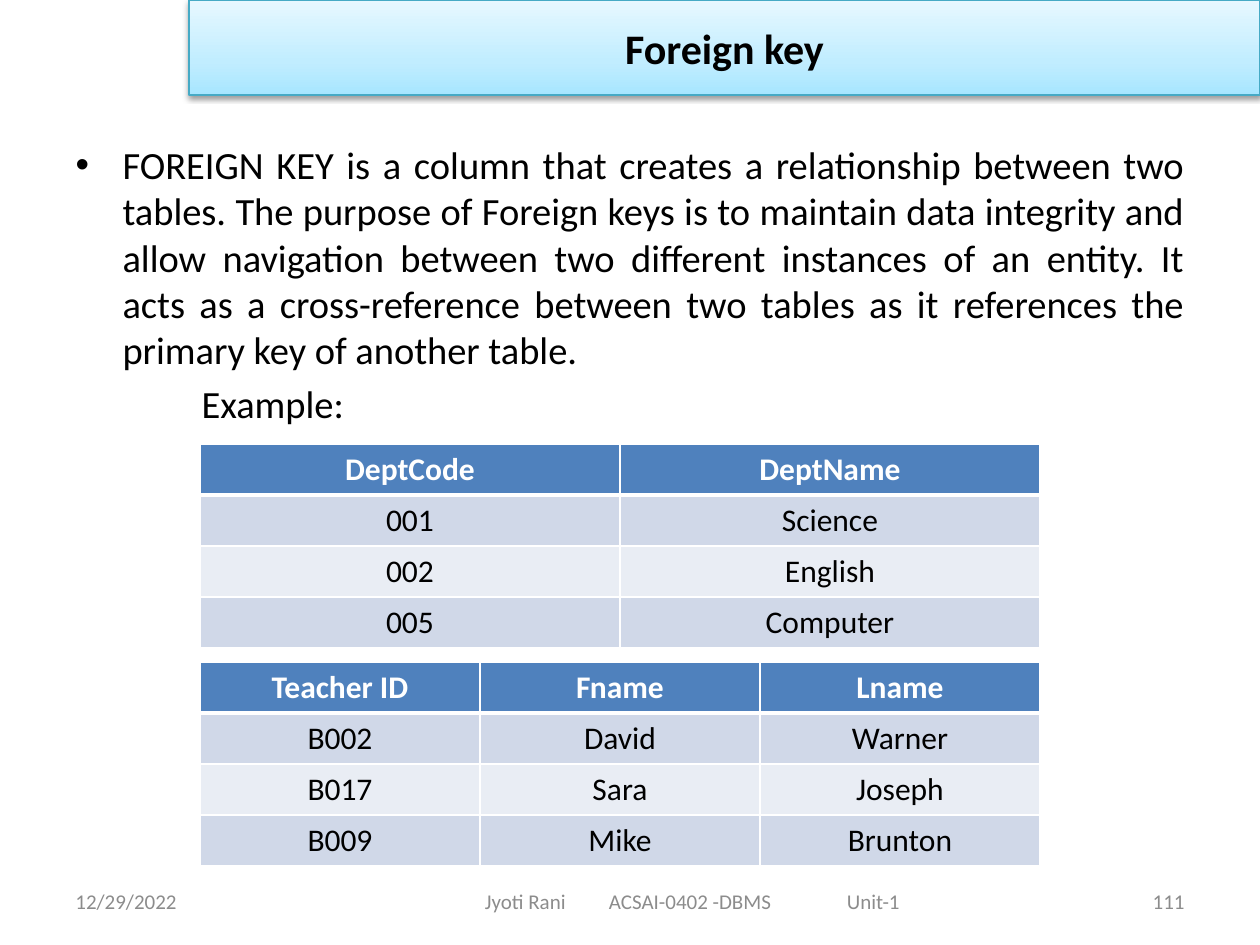
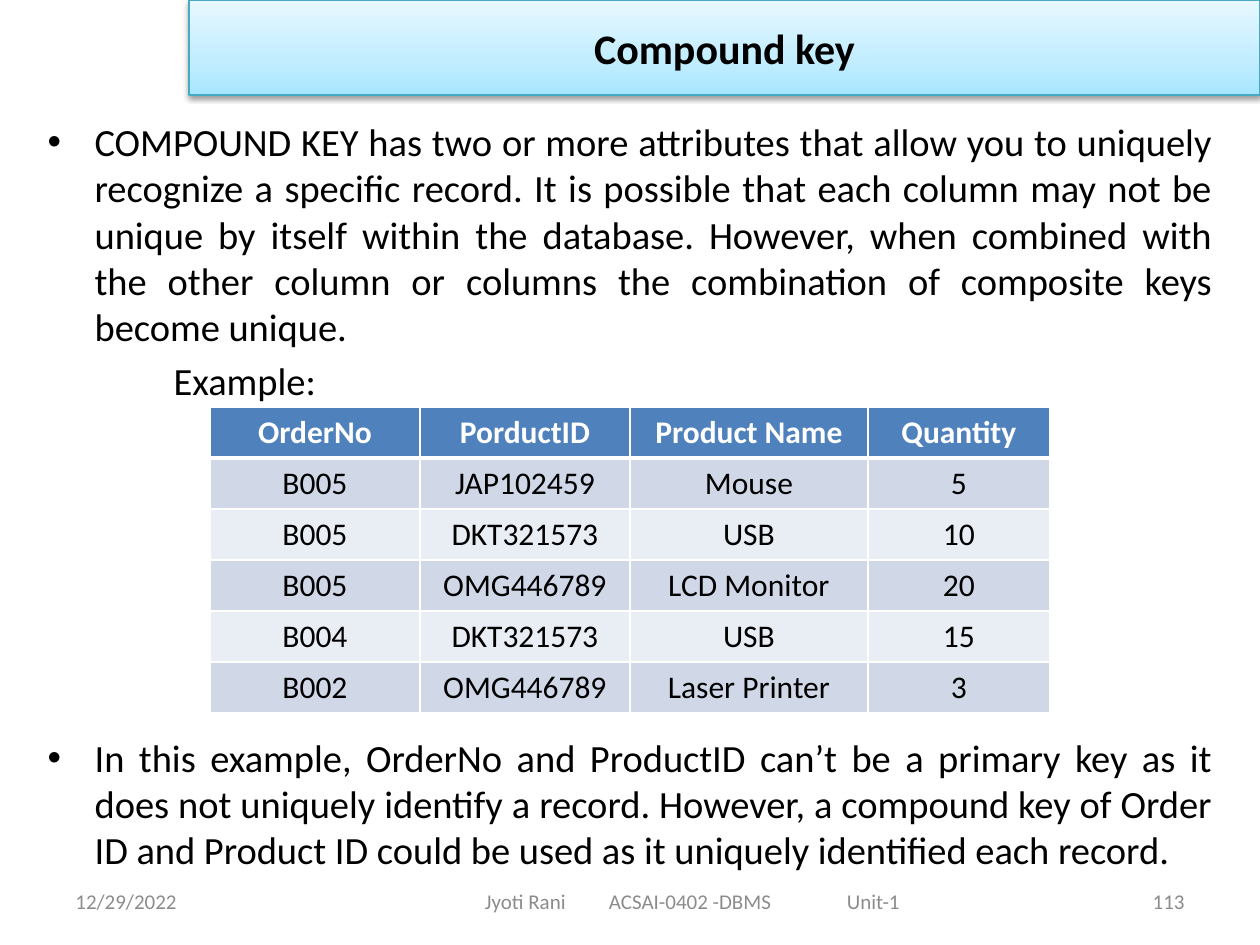
import copy
from dataclasses import dataclass

import pptx
import pptx.dml.color
import pptx.enum.text
import pptx.oxml
import pptx.oxml.ns
import pptx.util

ALIGN = pptx.enum.text.PP_ALIGN
MIDDLE = pptx.enum.text.MSO_ANCHOR.MIDDLE
NAMESPACE = pptx.oxml.ns.nsdecls("a")


@dataclass(frozen=True)
class Theme:
    """Colours, type sizes in points and the font shared by all slides."""
    font: str = "Calibri"
    ink: str = "000000"
    muted: str = "8C8C8C"
    white: str = "FFFFFF"
    header: str = "4F81BD"
    odd_row: str = "D0D8E8"
    even_row: str = "E9EDF4"
    band_line: str = "46AAC5"
    band_stops: tuple = ((0, "A7E6FF"), (0.35, "C1EDFF"), (1, "E7F8FF"))
    title_size: int = 24
    body_size: int = 22
    table_size: int = 18
    footer_size: int = 12
    body_gap: float = 4.4


THEME = Theme()


def px(length):
    """Turn pixels, 126 to the inch, into EMU."""
    return pptx.util.Emu(round(length * 914400 / 126))


def rgb(code):
    """Turn a hex code into a colour."""
    return pptx.dml.color.RGBColor.from_string(code)


def place(shape, left, top, width, height):
    """Move and size a shape in pixels."""
    shape.left, shape.top = px(left), px(top)
    shape.width, shape.height = px(width), px(height)


def add_span(para, text, size, color, bold=False):
    """Append one formatted run to a paragraph."""
    span = para.add_run()
    span.text = text
    span.font.name = THEME.font
    span.font.size = pptx.util.Pt(size)
    span.font.bold = bold
    span.font.color.rgb = rgb(color)


def add_title(page, text):
    """Format the title placeholder as the gradient band."""
    band = page.shapes.title
    place(band, 189, 0, 1071, 95)
    band.fill.gradient()
    band.fill.gradient_angle = 90
    properties = band._element.spPr
    stop_list = properties.find(".//" + pptx.oxml.ns.qn("a:gsLst"))
    stop_list.append(copy.deepcopy(stop_list[0]))
    for stop, (position, color) in zip(band.fill.gradient_stops, THEME.band_stops):
        stop.position = position
        stop.color.rgb = rgb(color)
    band.line.color.rgb = rgb(THEME.band_line)
    band.line.width = pptx.util.Pt(0.75)
    properties.append(pptx.oxml.parse_xml(
        f'<a:effectLst {NAMESPACE}><a:outerShdw blurRad="40000" dist="20000" '
        'dir="5400000" rotWithShape="0"><a:srgbClr val="000000">'
        '<a:alpha val="38000"/></a:srgbClr></a:outerShdw></a:effectLst>'))
    frame = band.text_frame
    frame.auto_size = pptx.enum.text.MSO_AUTO_SIZE.NONE
    frame.vertical_anchor = MIDDLE
    para = frame.paragraphs[0]
    para.alignment = ALIGN.CENTER
    add_span(para, text, THEME.title_size, THEME.ink, True)


def set_indent(para, bulleted):
    """Give a paragraph a hanging bullet or a plain deep indent."""
    properties = para._p.get_or_add_pPr()
    margin, indent = (47, -47) if bulleted else (126, 0)
    properties.set("marL", str(px(margin)))
    properties.set("indent", str(px(indent)))
    if bulleted:
        properties.append(pptx.oxml.parse_xml(f'<a:buFont {NAMESPACE} typeface="Arial"/>'))
        properties.append(pptx.oxml.parse_xml(f'<a:buChar {NAMESPACE} char="•"/>'))
    else:
        properties.append(pptx.oxml.parse_xml(f'<a:buNone {NAMESPACE}/>'))


def add_body(page, bounds, items):
    """Fill the body placeholder from (text, bulleted, space before) items."""
    body = page.placeholders[1]
    place(body, *bounds)
    frame = body.text_frame
    frame.auto_size = pptx.enum.text.MSO_AUTO_SIZE.NONE
    for index, (text, bulleted, gap) in enumerate(items):
        para = frame.add_paragraph() if index else frame.paragraphs[0]
        set_indent(para, bulleted)
        para.alignment = ALIGN.JUSTIFY
        para.space_before = pptx.util.Pt(gap)
        add_span(para, text, THEME.body_size, THEME.ink)


def set_borders(cell, top, bottom):
    """Draw white cell borders with the given top and bottom widths in points."""
    properties = cell._tc.get_or_add_tcPr()
    for side, width in (("L", 1), ("R", 1), ("T", top), ("B", bottom)):
        properties.append(pptx.oxml.parse_xml(
            f'<a:ln{side} {NAMESPACE} w="{pptx.util.Pt(width)}"><a:solidFill>'
            f'<a:srgbClr val="{THEME.white}"/></a:solidFill></a:ln{side}>'))


def add_grid(page, left, top, widths, rows):
    """Add a centred table with a header row and alternating row fills."""
    row_height = 51
    grid = page.shapes.add_table(len(rows), len(widths), px(left), px(top),
                                 px(sum(widths)), px(row_height * len(rows))).table
    for column, width in zip(grid.columns, widths):
        column.width = px(width)
    for row_index, values in enumerate(rows):
        is_header = row_index == 0
        row_fill = THEME.odd_row if row_index % 2 else THEME.even_row
        for column_index, value in enumerate(values):
            cell = grid.cell(row_index, column_index)
            set_borders(cell, 3 if row_index == 1 else 1, 3 if is_header else 1)
            cell.fill.solid()
            cell.fill.fore_color.rgb = rgb(THEME.header if is_header else row_fill)
            cell.vertical_anchor = MIDDLE
            para = cell.text_frame.paragraphs[0]
            para.alignment = ALIGN.CENTER
            add_span(para, value, THEME.table_size,
                     THEME.white if is_header else THEME.ink, is_header)


def add_footer_box(page, left, width, text, alignment):
    """Add one footer text box and return it."""
    box = page.shapes.add_textbox(px(left), px(876), px(width), px(50))
    frame = box.text_frame
    frame.word_wrap = True
    frame.vertical_anchor = MIDDLE
    para = frame.paragraphs[0]
    para.alignment = alignment
    add_span(para, text, THEME.footer_size, THEME.muted)
    return box


def add_footer(page, number):
    """Add the date, the tabbed course line and the slide number."""
    add_footer_box(page, 63, 294, "12/29/2022", ALIGN.LEFT)
    course = add_footer_box(page, 346, 694, "Jyoti Rani\tACSAI-0402 -DBMS\tUnit-1", ALIGN.LEFT)
    course.text_frame.margin_left = px(139)
    stops = "".join(f'<a:tab pos="{px(stop)}" algn="l"/>' for stop in (124, 362))
    course.text_frame.paragraphs[0]._p.get_or_add_pPr().append(
        pptx.oxml.parse_xml(f"<a:tabLst {NAMESPACE}>{stops}</a:tabLst>"))
    add_footer_box(page, 903, 294, str(number), ALIGN.RIGHT)


def add_page(deck, title, number, bounds, items):
    """Add a slide with its band, body text and footer."""
    page = deck.slides.add_slide(deck.slide_layouts[1])
    add_footer(page, number)
    add_title(page, title)
    add_body(page, bounds, items)
    return page


def main():
    """Build and save the deck."""
    deck = pptx.Presentation()
    deck.slide_width, deck.slide_height = px(1260), px(945)
    example = ("Example:", False, THEME.body_gap)

    foreign = add_page(deck, "Foreign key", 111, (63, 135, 1134, 709), [
        ("FOREIGN KEY is a column that creates a relationship between two tables. "
         "The purpose of Foreign keys is to maintain data integrity and allow navigation "
         "between two different instances of an entity. It acts as a cross-reference "
         "between two tables as it references the primary key of another table.", True, 0),
        example,
    ])
    add_grid(foreign, 200, 444, [420] * 2, [
        ("DeptCode", "DeptName"),
        ("001", "Science"),
        ("002", "English"),
        ("005", "Computer"),
    ])
    add_grid(foreign, 200, 662, [280] * 3, [
        ("Teacher ID", "Fname", "Lname"),
        ("B002", "David", "Warner"),
        ("B017", "Sara", "Joseph"),
        ("B009", "Mike", "Brunton"),
    ])

    compound = add_page(deck, "Compound key", 113, (35, 112, 1190, 776), [
        ("COMPOUND KEY has two or more attributes that allow you to uniquely recognize "
         "a specific record. It is possible that each column may not be unique by itself "
         "within the database. However, when combined with the other column or columns "
         "the combination of composite keys become unique.", True, 0),
        example,
        ("In this example, OrderNo and ProductID can’t be a primary key as it does not "
         "uniquely identify a record. However, a compound key of Order ID and Product ID "
         "could be used as it uniquely identified each record.", True, 189),
    ])
    add_grid(compound, 210, 407, [210, 210, 238, 182], [
        ("OrderNo", "PorductID", "Product Name", "Quantity"),
        ("B005", "JAP102459", "Mouse", "5"),
        ("B005", "DKT321573", "USB", "10"),
        ("B005", "OMG446789", "LCD Monitor", "20"),
        ("B004", "DKT321573", "USB", "15"),
        ("B002", "OMG446789", "Laser Printer", "3"),
    ])
    deck.save("out.pptx")


if __name__ == "__main__":
    main()
